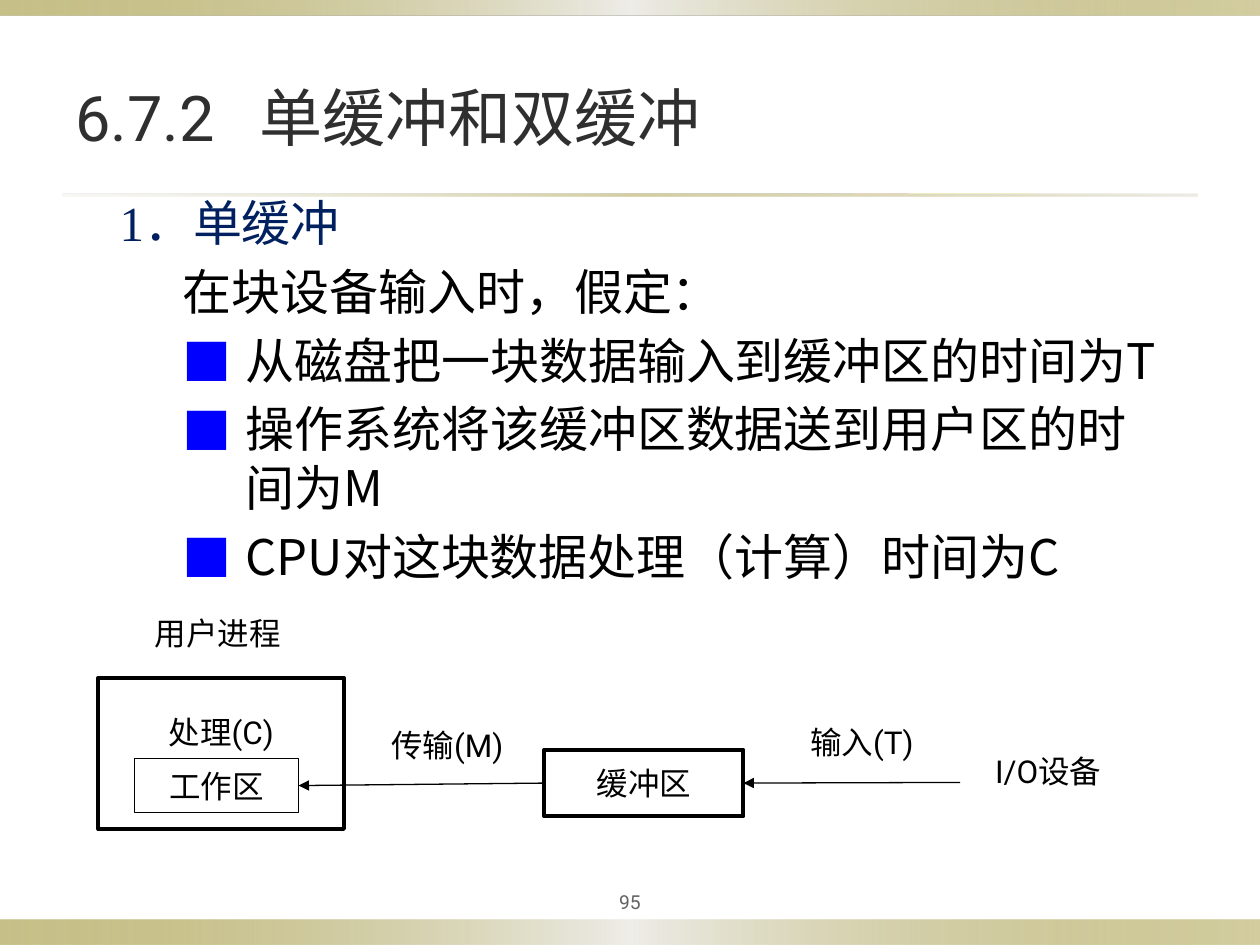
from dataclasses import dataclass

from lxml.etree import SubElement
from pptx import Presentation
from pptx.dml.color import RGBColor
from pptx.enum.shapes import MSO_CONNECTOR, MSO_SHAPE
from pptx.enum.text import MSO_ANCHOR, MSO_AUTO_SIZE, PP_ALIGN
from pptx.oxml.ns import qn
from pptx.util import Inches, Pt


@dataclass(frozen=True)
class Theme:
    latin: str = "Roboto"
    serif: str = "Times New Roman"
    cjk: str = "Noto Sans CJK SC"
    title: str = "2F2F2F"
    head: str = "002060"
    ink: str = "000000"
    mark: str = "0000FF"
    page: str = "636363"
    gold: str = "918415"
    pale: str = "EEEDE8"
    sand: str = "DCD9CC"
    title_size: int = 36
    body_size: int = 28
    label_size: int = 18
    page_size: int = 11
    thick: float = 2.25
    thin: float = 0.75


THEME = Theme()
BAND = [(0, THEME.gold, 50), (50, THEME.pale, 100), (100, THEME.gold, 40)]
RULE = [(0, THEME.sand, 20), (50, THEME.gold, 40), (100, THEME.sand, 50)]
POINTS = [
    "从磁盘把一块数据输入到缓冲区的时间为T",
    "操作系统将该缓冲区数据送到用户区的时间为M",
    "CPU对这块数据处理（计算）时间为C",
]


def place(shape, left, top, width, height):
    shape.left, shape.top = Inches(left), Inches(top)
    shape.width, shape.height = Inches(width), Inches(height)


def style(para, size, color=THEME.ink, face=THEME.latin):
    """Set one font on the paragraph, with the Chinese face beside it."""
    font = para.font
    font.size, font.name = Pt(size), face
    font.color.rgb = RGBColor.from_string(color)
    SubElement(font._element, qn("a:ea"), typeface=THEME.cjk)


def inset(frame, side, top, bottom=0.01):
    frame.margin_left = frame.margin_right = Inches(side)
    frame.margin_top, frame.margin_bottom = Inches(top), Inches(bottom)


def add_bar(slide, box, stops):
    """Add a borderless strip with a see-through gradient."""
    bar = slide.shapes.add_shape(MSO_SHAPE.RECTANGLE, *map(Inches, box))
    bar.shadow.inherit = False
    bar.line.fill.background()
    bar.fill.gradient()
    bar.fill.gradient_angle = 0
    stop_list = bar._element.spPr.find(qn("a:gradFill")).find(qn("a:gsLst"))
    for old in list(stop_list):
        stop_list.remove(old)
    for pos, color, alpha in stops:
        stop = SubElement(stop_list, qn("a:gs"), pos=str(pos * 1000))
        tint = SubElement(stop, qn("a:srgbClr"), val=color)
        SubElement(tint, qn("a:alpha"), val=str(alpha * 1000))


def add_label(slide, text, box, size=THEME.label_size, color=THEME.ink):
    label = slide.shapes.add_textbox(*map(Inches, box))
    frame = label.text_frame
    frame.word_wrap = True
    inset(frame, 0.02, 0.01)
    para = frame.paragraphs[0]
    para.text, para.alignment = text, PP_ALIGN.CENTER
    style(para, size, color)
    return frame


def add_box(slide, text, box, weight):
    rect = slide.shapes.add_shape(MSO_SHAPE.RECTANGLE, *map(Inches, box))
    rect.shadow.inherit = False
    rect.fill.background()
    rect.line.color.rgb = RGBColor.from_string(THEME.ink)
    rect.line.width = Pt(weight)
    frame = rect.text_frame
    frame.word_wrap, frame.vertical_anchor = False, MSO_ANCHOR.MIDDLE
    inset(frame, 0.02, 0.01)
    para = frame.paragraphs[0]
    para.text, para.alignment = text, PP_ALIGN.CENTER
    style(para, THEME.label_size)
    return rect


def add_arrow(slide, start, end):
    """Add an arrow from a free point to a free point."""
    line = slide.shapes.add_connector(
        MSO_CONNECTOR.STRAIGHT, *map(Inches, start + end))
    line.line.color.rgb = RGBColor.from_string(THEME.ink)
    line.line.width = Pt(THEME.thin)
    SubElement(line.line._get_or_add_ln(), qn("a:tailEnd"), type="triangle")
    SubElement(line._element.spPr, qn("a:effectLst"))
    return line


def set_list(para, left, hang, bullet=None):
    """Set the indent, and a coloured bullet or none."""
    props = para._p.get_or_add_pPr()
    props.set("marL", str(Inches(left)))
    props.set("indent", str(Inches(hang)))
    if bullet:
        color = SubElement(props, qn("a:buClr"))
        SubElement(color, qn("a:srgbClr"), val=THEME.mark)
        SubElement(props, qn("a:buFont"), typeface=THEME.cjk)
        SubElement(props, qn("a:buChar"), char=bullet)
    else:
        SubElement(props, qn("a:buNone"))


def fill_title(title):
    place(title, 0.5, 0.3, 9, 1.25)
    frame = title.text_frame
    frame.auto_size = MSO_AUTO_SIZE.NONE
    frame.vertical_anchor = MSO_ANCHOR.MIDDLE
    para = frame.paragraphs[0]
    para.text, para.alignment = "6.7.2\t单缓冲和双缓冲", PP_ALIGN.LEFT
    tabs = SubElement(para._p.get_or_add_pPr(), qn("a:tabLst"))
    SubElement(tabs, qn("a:tab"), pos=str(Inches(1.46)), algn="l")
    style(para, THEME.title_size, THEME.title)


def fill_body(body):
    place(body, 0.35, 1.48, 9.07, 3.28)
    frame = body.text_frame
    frame.auto_size = MSO_AUTO_SIZE.NONE
    rows = [("1．单缓冲", 1, None), ("在块设备输入时，假定：", 2, None)]
    rows += [(text, 2, "■") for text in POINTS]
    for num, (text, level, bullet) in enumerate(rows):
        para = frame.add_paragraph() if num else frame.paragraphs[0]
        para.text, para.level = text, level
        set_list(para, 0.5 + 0.5 * level, -0.5, bullet)
        if level == 1:
            style(para, THEME.body_size, THEME.head, THEME.serif)
        else:
            style(para, THEME.body_size, face=THEME.cjk)
    # The unbulleted lines start where the bullets stand.


def draw_flow(slide):
    """Draw the path from the device through the buffer to the process."""
    user = add_box(slide, "处理(C)", (0.78, 5.38, 1.95, 1.2), THEME.thick)
    user.text_frame.vertical_anchor = MSO_ANCHOR.TOP
    inset(user.text_frame, 0.1, 0.28)
    work = add_box(slide, "工作区", (1.07, 6.02, 1.3, 0.43), THEME.thin)
    buffer = add_box(slide, "缓冲区", (4.32, 5.95, 1.58, 0.53), THEME.thick)
    for text, left, top in [
        ("用户进程", 0.95, 4.86),
        ("传输(M)", 2.77, 5.75),
        ("输入(T)", 6.06, 5.73),
        ("I/O设备", 7.54, 5.96),
    ]:
        add_label(slide, text, (left, top, 1.56, 0.42))
    load = add_arrow(slide, (7.62, 6.21), (5.9, 6.21))
    load.end_connect(buffer, 3)
    move = add_arrow(slide, (4.32, 6.21), (2.37, 6.21))
    move.begin_connect(buffer, 1)
    move.end_connect(work, 3)


def main():
    deck = Presentation()
    deck.slide_width, deck.slide_height = Inches(10), Inches(7.5)
    slide = deck.slides.add_slide(deck.slide_layouts[1])
    add_bar(slide, (0, 7.3, 10, 0.2), BAND)
    add_bar(slide, (0, 0, 10, 0.12), BAND)
    add_bar(slide, (0.5, 1.54, 9, 0.02), RULE)
    page = add_label(slide, "95", (4.5, 7, 1, 0.31),
                     THEME.page_size, THEME.page)
    page.vertical_anchor = MSO_ANCHOR.MIDDLE
    fill_title(slide.shapes.title)
    fill_body(slide.placeholders[1])
    draw_flow(slide)
    deck.save("out.pptx")


if __name__ == "__main__":
    main()
